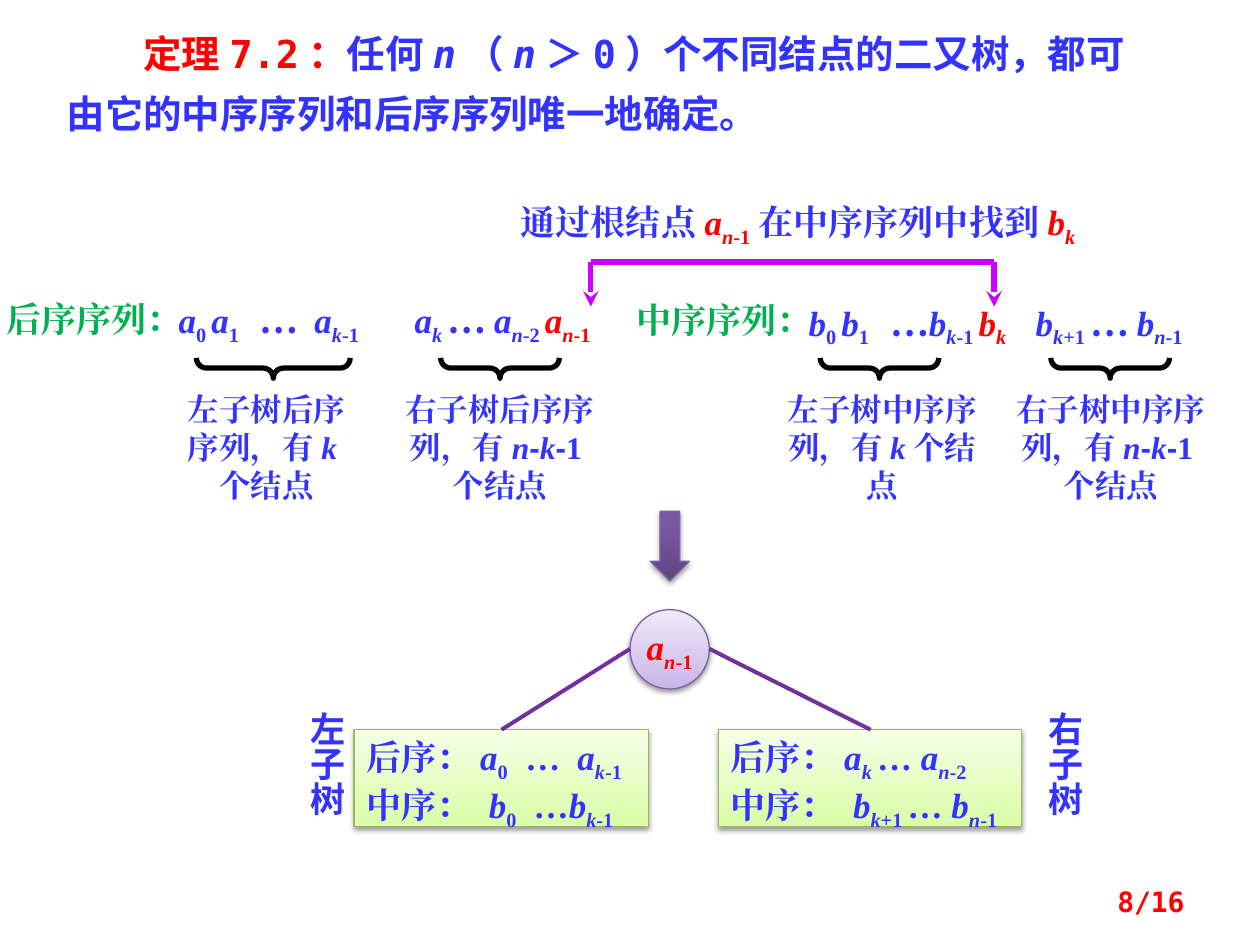
import pptx
import pptx.dml.color
import pptx.enum.shapes
import pptx.enum.text
import pptx.oxml
import pptx.oxml.ns
import pptx.util
from pptx.util import Cm

SHAPES = pptx.enum.shapes.MSO_SHAPE
ALIGN = pptx.enum.text.PP_ALIGN
ANCHOR = pptx.enum.text.MSO_ANCHOR
SERIF, MONO, SANS, HAN = "Times New Roman", "DejaVu Sans Mono", "Arial", "Noto Sans CJK SC"
BLUE, RED, GREEN, PURPLE, MAGENTA = "3333FF", "FF0000", "00B050", "7030A0", "CC00FF"
VIOLET_EDGE = "7D60A0"
BODY = {"size": 20, "name": SERIF, "color": BLUE}
CAPTION = {**BODY, "size": 18}
LABEL = {**BODY, "color": GREEN}
TITLE = {"size": 22, "name": MONO, "color": BLUE}
NO_INSET = {"margin_left": 0, "margin_right": 0, "margin_top": 0, "margin_bottom": 0}
MARKS = {
    "i": {"italic": True},
    "s": {"baseline": "-25000"},
    "r": {"color": RED},
    "h": {"name": HAN},
    "a": {"name": SANS},
}


def color(value):
    return pptx.dml.color.RGBColor.from_string(value)


def add_xml(parent, tag, **attributes):
    child = pptx.oxml.parse_xml(f"<a:{tag} {pptx.oxml.ns.nsdecls('a')}/>")
    for key, value in attributes.items():
        child.set(key, str(value))
    parent.append(child)
    return child


def apply(target, values):
    for key, value in values.items():
        setattr(target, key, value)


def term(letter, index, offset="", mark=""):
    slant = "" if index.isdigit() else "i"
    spans = [(letter, "i" + mark), (index, slant + "s" + mark)]
    return spans + [(offset, "s" + mark)] if offset else spans


def add_span(para, text, marks, base):
    look = dict(base)
    for mark in marks:
        look.update(MARKS[mark])
    span = para.add_run()
    span.text = text
    span.font.color.rgb = color(look["color"])
    apply(span.font, {"size": pptx.util.Pt(look["size"]), "name": look["name"],
                      "bold": True, "italic": look.get("italic", False)})
    properties = span.font._element
    add_xml(properties, "ea", typeface=look["name"])
    if "baseline" in look:
        properties.set("baseline", look["baseline"])


def write_para(para, spans, base, align=ALIGN.LEFT, tabs=()):
    para.alignment = align
    if tabs:
        stops = add_xml(para._p.get_or_add_pPr(), "tabLst")
        for stop in tabs:
            add_xml(stops, "tab", pos=Cm(stop), algn="l")
    for text, marks in spans:
        add_span(para, text, marks, base)


def add_text(page, place, spans, base, align=ALIGN.LEFT, tabs=(), frame=NO_INSET):
    box = page.shapes.add_textbox(*map(Cm, place))
    apply(box.text_frame, {"word_wrap": True, **frame})
    write_para(box.text_frame.paragraphs[0], spans, base, align, tabs)
    return box


def add_title(page, place, spans):
    title = page.shapes.title
    apply(title, dict(zip(("left", "top", "width", "height"), map(Cm, place))))
    apply(title.text_frame, {"word_wrap": True, "vertical_anchor": ANCHOR.TOP,
                             "auto_size": pptx.enum.text.MSO_AUTO_SIZE.NONE})
    para = title.text_frame.paragraphs[0]
    para.line_spacing = 1.3
    para._p.get_or_add_pPr().set("indent", str(Cm(1.55)))
    write_para(para, spans, TITLE)


def add_brace(page, center, length):
    thick, middle = 0.41, 7.42
    brace = page.shapes.add_shape(SHAPES.LEFT_BRACE, Cm(center - thick / 2),
                                  Cm(middle - length / 2), Cm(thick), Cm(length))
    brace.rotation = 270
    brace.adjustments[0] = 0.5
    brace.shadow.inherit = False
    brace.fill.background()
    brace.line.color.rgb = color("000000")
    brace.line.width = pptx.util.Pt(3)


def add_shaded(page, kind, place, low, high, edge, reach=1):
    shape = page.shapes.add_shape(kind, *map(Cm, place))
    shape.fill.gradient()
    shape.fill.gradient_angle = 90
    for stop, value, position in zip(shape.fill.gradient_stops, (low, high), (0, reach)):
        stop.color.rgb = color(value)
        stop.position = position
    shape.line.color.rgb = color(edge)
    shape.line.width = pptx.util.Pt(0.75)
    effects = add_xml(shape._element.spPr, "effectLst")
    shadow = add_xml(effects, "outerShdw", blurRad=pptx.util.Pt(3.1), dist=pptx.util.Pt(1.6),
                     dir=5400000, rotWithShape=0)
    add_xml(add_xml(shadow, "srgbClr", val="000000"), "alpha", val=38000)
    return shape


def add_line(page, ends, value, width, arrow=False):
    line = page.shapes.add_connector(pptx.enum.shapes.MSO_CONNECTOR.STRAIGHT, *map(Cm, ends))
    line.line.color.rgb = color(value)
    line.line.width = pptx.util.Pt(width)
    if arrow:
        add_xml(line.line._get_or_add_ln(), "tailEnd", type="stealth")
    add_xml(line._element.spPr, "effectLst")


def add_subtree(page, left, width, rows):
    box = add_shaded(page, SHAPES.RECTANGLE, (left, 14.71, width, 1.96),
                     "DAFDA7", "F5FFE7", "98B955")
    frame = box.text_frame
    apply(frame, {"word_wrap": True, "vertical_anchor": ANCHOR.TOP})
    for number, (spans, tabs) in enumerate(rows):
        para = frame.add_paragraph() if number else frame.paragraphs[0]
        write_para(para, spans, BODY, tabs=tabs)


def add_side_name(page, left, text):
    box = add_text(page, (left, 14.1, 1.37, 3.38), [(text, "h")], BODY, ALIGN.CENTER, frame={})
    box.text_frame._txBody.bodyPr.set("vert", "eaVert")


def add_sequences(page):
    add_text(page, (0, 6, 3.81, 0.84), [("后序序列：", "")], LABEL, ALIGN.CENTER)
    add_text(page, (12.7, 6.02, 3.81, 0.84), [("中序序列：", "")], LABEL, ALIGN.CENTER)
    post = (term("a", "0", " ") + term("a", "1", "\t") + [("…\t", "h")]
            + term("a", "k", "-1\t") + term("a", "k", " ") + [("… ", "h")]
            + term("a", "n", "-2 ") + term("a", "n", "-1", "r"))
    add_text(page, (3.6, 6.02, 9.3, 0.86), post, BODY, tabs=(1.64, 2.74, 4.76))
    middle = (term("b", "0", " ") + term("b", "1", "\t") + [("…", "h")]
              + term("b", "k", "-1 ") + term("b", "k", "\t", "r")
              + term("b", "k", "+1 ") + [("… ", "h")] + term("b", "n", "-1"))
    add_text(page, (16.3, 6.07, 7.9, 0.86), middle, BODY, tabs=(1.65, 4.58))
    left_count = [("k", "i"), ("个结点", "")]
    right_count = [("n", "i"), ("-", "a"), ("k", "i"), ("-", "a"), ("1个结点", "")]
    for left, width, center, length, text, count in (
        (3.58, 3.58, 5.51, 3.1, "左子树后序序列，有", left_count),
        (8.08, 3.99, 10.08, 2.39, "右子树后序序列，有", right_count),
        (15.88, 3.81, 17.73, 2.39, "左子树中序序列，有", left_count),
        (20.4, 3.99, 22.38, 2.39, "右子树中序序列，有", right_count),
    ):
        add_text(page, (left, 7.87, width, 2.31), [(text, "")] + count, CAPTION, ALIGN.CENTER)
        add_brace(page, center, length)


def add_root_link(page):
    start, end, top = 11.91, 20.04, 5.28
    add_line(page, (start, top, end, top), MAGENTA, 3)
    for across in (start, end):
        add_line(page, (across, top, across, 6.18), MAGENTA, 3, arrow=True)
    spans = ([("通过根结点", "")] + term("a", "n", "-1", "r")
             + [("在中序序列中找到", "")] + term("b", "k", mark="r"))
    add_text(page, (10.5, 4.04, 11.76, 0.86), spans, BODY)


def add_tree(page):
    add_shaded(page, SHAPES.DOWN_ARROW, (13.11, 10.31, 0.79, 1.4),
               "5F4480", "7B58A6", VIOLET_EDGE, 0.8)
    root = add_shaded(page, SHAPES.OVAL, (12.7, 12.29, 1.6, 1.6), "C9B5E8", "F0EAF9", VIOLET_EDGE)
    apply(root.text_frame, {"margin_left": 0, "margin_right": 0, "word_wrap": True,
                            "vertical_anchor": ANCHOR.MIDDLE})
    write_para(root.text_frame.paragraphs[0], term("a", "n", "-1", "r"), BODY, ALIGN.CENTER)
    post, middle = [("后序：", "")], [("中序：", "")]
    add_subtree(page, 7.14, 5.94, (
        (post + term("a", "0", "\t") + [("…\t", "")] + term("a", "k", "-1"), (3.2, 4.25)),
        (middle + term(" b", "0", "\t") + [("…", "")] + term("b", "k", "-1"), (3.37,))))
    add_subtree(page, 14.48, 6.12, (
        (post + term("a", "k", " ") + [("… ", "")] + term("a", "n", "-2"), ()),
        (middle + term(" b", "k", "+1 ") + [("… ", "")] + term("b", "n", "-1"), ())))
    add_side_name(page, 5.77, "左子树")
    add_side_name(page, 20.65, "右子树")
    add_line(page, (12.7, 13.08, 10.11, 14.71), PURPLE, 2.25)
    add_line(page, (14.3, 13.08, 17.55, 14.71), PURPLE, 2.25)


def main():
    deck = pptx.Presentation()
    apply(deck, {"slide_width": Cm(25.4), "slide_height": Cm(19.05)})
    page = deck.slides.add_slide(deck.slide_layouts[5])
    add_title(page, (1.09, 0.2, 22.61, 2.57), [
        ("定理7.2：", "r"), ("任何", ""), ("n", "i"), ("（", ""), ("n", "i"),
        ("＞0）个不同结点的二又树，都可由它的中序序列和后序序列唯一地确定。", "")])
    add_sequences(page)
    add_root_link(page)
    add_tree(page)
    add_text(page, (18.21, 17.65, 5.92, 1.02), [("8/16", "r")], {**TITLE, "size": 16},
             ALIGN.RIGHT, frame={"vertical_anchor": ANCHOR.MIDDLE})
    deck.save("out.pptx")


if __name__ == "__main__":
    main()
